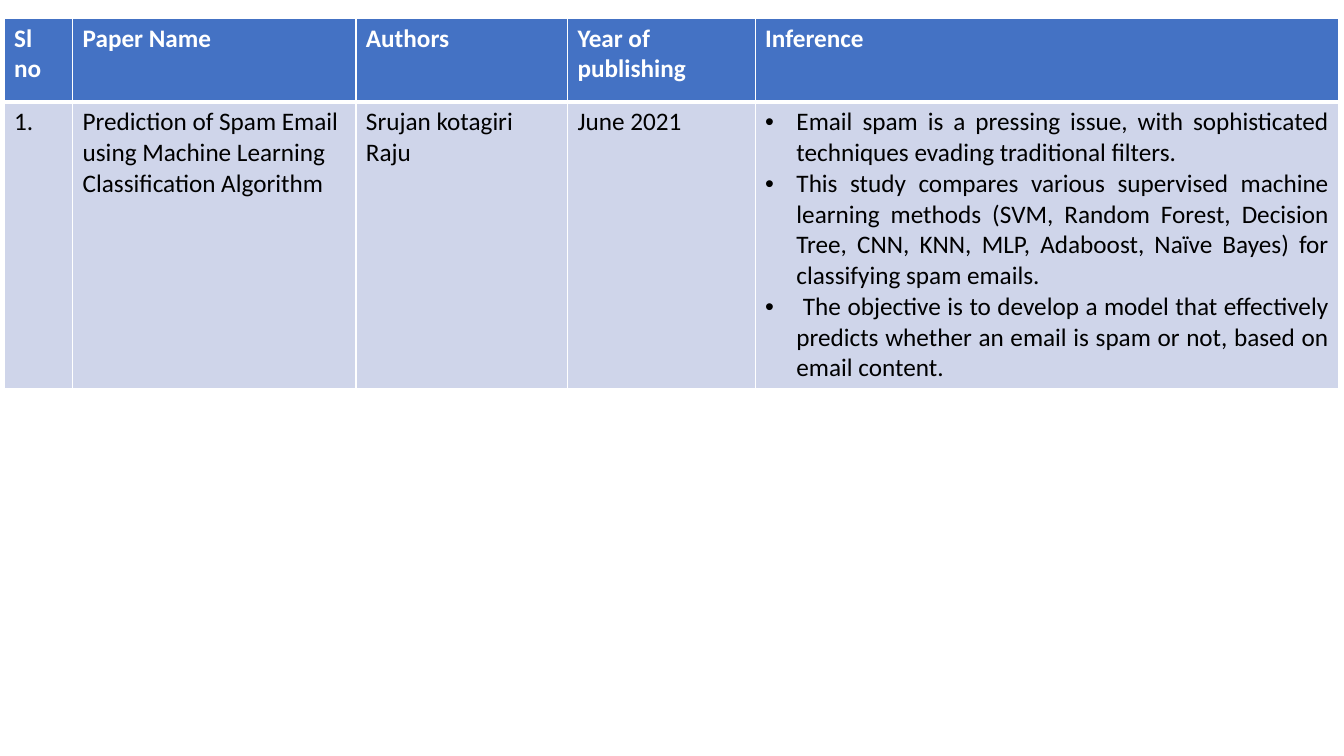
from lxml import etree
from pptx import Presentation
from pptx.dml.color import RGBColor
from pptx.enum.text import PP_ALIGN
from pptx.oxml.ns import qn
from pptx.util import Inches, Pt

JUSTIFY = PP_ALIGN.JUSTIFY
WHITE = RGBColor(0xFF, 0xFF, 0xFF)
BLACK = RGBColor(0, 0, 0)
HEADER_BLUE = RGBColor(0x44, 0x72, 0xC4)
ROW_BLUE = RGBColor(0xCF, 0xD5, 0xEA)
FONT, SIZE = "Calibri", Pt(18)
BULLET_INDENT = Inches(0.31)

TABLE_BOX = (0.04, 0.18, 13.24, 3.63)
COLUMNS = (0.68, 2.81, 2.1, 1.86, 5.79)
ROWS = (0.83, 2.8)

HEADER = (["Sl", "no"], ["Paper Name"], ["Authors"], ["Year of publishing"], ["Inference"])
PAPER = (
    ["1."],
    ["Prediction of Spam Email using Machine Learning Classification Algorithm"],
    ["Srujan kotagiri Raju"],
    ["June 2021"],
    [
        "Email spam is a pressing issue, with sophisticated techniques evading "
        "traditional filters. ",
        "This study compares various supervised machine learning methods (SVM, "
        "Random Forest, Decision Tree, CNN, KNN, MLP, Adaboost, Naïve Bayes) for "
        "classifying spam emails.",
        " The objective is to develop a model that effectively predicts whether an "
        "email is spam or not, based on email content.",
    ],
)


def set_borders(cell, widths):
    tcPr = cell._tc.get_or_add_tcPr()
    for side, width in zip("LRTB", widths):
        ln = etree.SubElement(tcPr, qn(f"a:ln{side}"), w=str(Pt(width)))
        fill = etree.SubElement(ln, qn("a:solidFill"))
        etree.SubElement(fill, qn("a:srgbClr"), val=str(WHITE))


def make_bullet(p):
    p.alignment = JUSTIFY
    pPr = p._p.get_or_add_pPr()
    pPr.set("marL", str(BULLET_INDENT))
    pPr.set("indent", str(-BULLET_INDENT))
    etree.SubElement(pPr, qn("a:buFont"), typeface="Arial")
    etree.SubElement(pPr, qn("a:buChar"), char="•")


def fill_cell(cell, lines, is_header):
    set_borders(cell, (1, 1, 1, 3) if is_header else (1, 1, 3, 1))
    cell.fill.solid()
    cell.fill.fore_color.rgb = HEADER_BLUE if is_header else ROW_BLUE
    tf = cell.text_frame
    for i, line in enumerate(lines):
        p = tf.add_paragraph() if i else tf.paragraphs[0]
        if len(lines) > 1 and not is_header:
            make_bullet(p)
        r = p.add_run()
        r.text = line
        r.font.name, r.font.size, r.font.bold = FONT, SIZE, is_header
        r.font.color.rgb = WHITE if is_header else BLACK


def add_paper_table(slide, box):
    """Place the literature survey table, sharing the box among its columns and rows."""
    left, top, width, height = box
    table = slide.shapes.add_table(
        len(ROWS), len(COLUMNS), *(Inches(v) for v in box)).table
    for column, share in zip(table.columns, COLUMNS):
        column.width = Inches(width * share / sum(COLUMNS))
    for row, share in zip(table.rows, ROWS):
        row.height = Inches(height * share / sum(ROWS))
    for i, texts in enumerate((HEADER, PAPER)):
        for j, lines in enumerate(texts):
            fill_cell(table.cell(i, j), lines, is_header=i == 0)


def main():
    prs = Presentation()
    prs.slide_width, prs.slide_height = Inches(13.33), Inches(7.5)
    slide = prs.slides.add_slide(prs.slide_layouts[6])
    add_paper_table(slide, TABLE_BOX)
    prs.save("out.pptx")


if __name__ == "__main__":
    main()
